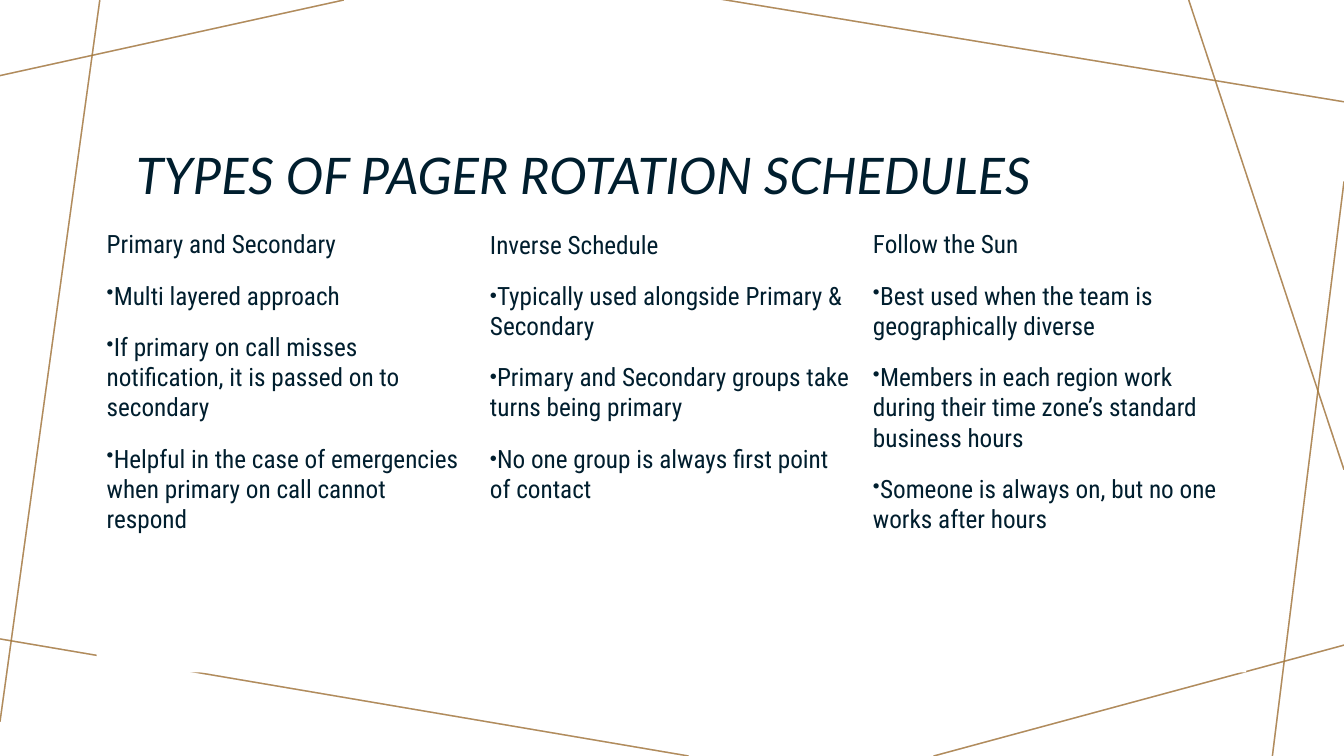
from lxml.etree import SubElement
from pptx import Presentation
from pptx.dml.color import RGBColor
from pptx.enum.shapes import MSO_CONNECTOR
from pptx.enum.text import MSO_ANCHOR, MSO_AUTO_SIZE, PP_ALIGN
from pptx.oxml.ns import qn
from pptx.util import Inches, Pt

INK = "001E2E"
LINE_COLOURS = ["BA9CA0", "A57931"]
LINE_OPACITY = 70
LINES = [
    (3.41, 0, 0, 0.75),
    (0.99, 0, 0, 7.16),
    (6.83, 7.5, -0.05, 6.33),
    (13.33, 6.4, 9.26, 7.5),
    (13.33, 1.8, 12.62, 7.5),
    (13.33, 4.66, 11.79, 0),
    (13.33, 1.01, 7.14, -0.01),
]
TITLE = "TYPES OF PAGER ROTATION SCHEDULES"
LEFT, TOP, WIDTH, HEIGHT = 0.96, 2.22, 3.8, 4.45
SCHEDULES = [
    ("Primary and Secondary", [
        "Multi layered approach",
        "If primary on call misses notification, it is passed on to secondary",
        "Helpful in the case of emergencies when primary on call cannot respond",
    ]),
    ("Inverse Schedule", [
        "Typically used alongside Primary & Secondary",
        "Primary and Secondary groups take turns being primary",
        "No one group is always first point of contact",
    ]),
    ("Follow the Sun", [
        "Best used when the team is geographically diverse",
        "Members in each region work during their time zone’s standard business hours",
        "Someone is always on, but no one works after hours",
    ]),
]
TITLE_FONT = {"name": "Lato", "size": Pt(36), "italic": True}
BODY_FONT = {"name": "Roboto Condensed", "size": Pt(18)}
TITLE_PARAGRAPH = {"alignment": PP_ALIGN.LEFT, "line_spacing": 0.9}
BODY_PARAGRAPH = {"alignment": PP_ALIGN.LEFT, "line_spacing": 1.0,
                  "space_before": Pt(10), "space_after": Pt(5)}


def colour(value):
    return RGBColor.from_string(value)


def apply_format(target, values):
    for name, value in values.items():
        setattr(target, name, value)


def place(shape, left, top, width, height):
    apply_format(shape, {"left": Inches(left), "top": Inches(top),
                         "width": Inches(width), "height": Inches(height)})


def prepare_frame(shape, anchor):
    apply_format(shape.text_frame, {"word_wrap": True, "vertical_anchor": anchor,
                                    "auto_size": MSO_AUTO_SIZE.NONE})


def write(paragraph, text, paragraph_format, font_format):
    apply_format(paragraph, paragraph_format)
    run = paragraph.add_run()
    run.text = text
    apply_format(run.font, font_format)
    run.font.color.rgb = colour(INK)


def set_bullet(paragraph, bulleted):
    """Give the paragraph a hanging dot, or take away the inherited one."""
    properties = paragraph._p.get_or_add_pPr()
    properties.set("marL", "0")
    properties.set("indent", str(Inches(-0.25) if bulleted else 0))
    if bulleted:
        SubElement(properties, qn("a:buSzPct")).set("val", "80000")
        SubElement(properties, qn("a:buChar")).set("char", "•")
    else:
        SubElement(properties, qn("a:buNone"))


def add_line(slide, ends, line_colour):
    connector = slide.shapes.add_connector(
        MSO_CONNECTOR.STRAIGHT, *[Inches(value) for value in ends])
    connector.line.width = Pt(1)
    connector.line.color.rgb = colour(line_colour)
    properties = connector._element.spPr
    solid = next(properties.iter(qn("a:srgbClr")))
    SubElement(solid, qn("a:alpha")).set("val", str(LINE_OPACITY * 1000))
    SubElement(properties, qn("a:effectLst"))


def fill_title(title):
    place(title, 1.25, 0.58, 10.83, 1.51)
    prepare_frame(title, MSO_ANCHOR.BOTTOM)
    write(title.text_frame.paragraphs[0], TITLE, TITLE_PARAGRAPH, TITLE_FONT)


def fill_schedule(shape, column, heading, points):
    place(shape, LEFT + column * WIDTH, TOP, WIDTH, HEIGHT)
    shape.fill.solid()
    shape.fill.fore_color.rgb = colour("FFFFFF")
    prepare_frame(shape, MSO_ANCHOR.TOP)
    frame = shape.text_frame
    for index, text in enumerate([heading, *points]):
        paragraph = frame.add_paragraph() if index else frame.paragraphs[0]
        write(paragraph, text, BODY_PARAGRAPH, BODY_FONT)
        set_bullet(paragraph, bulleted=index > 0)


def main():
    presentation = Presentation()
    presentation.slide_width = Inches(13.33)
    presentation.slide_height = Inches(7.5)
    slide = presentation.slides.add_slide(presentation.slide_layouts[1])
    title, body = slide.shapes.title, slide.placeholders[1]

    for line_colour in LINE_COLOURS:
        for ends in LINES:
            add_line(slide, ends, line_colour)

    # The text stands in front of the lines.
    for placeholder in (title, body):
        slide.shapes._spTree.append(placeholder._element)

    fill_title(title)
    for column, (heading, points) in enumerate(SCHEDULES):
        if column == 1:
            shape = body
        else:
            shape = slide.shapes.add_textbox(0, 0, Inches(WIDTH), Inches(HEIGHT))
        fill_schedule(shape, column, heading, points)

    presentation.save("out.pptx")


if __name__ == "__main__":
    main()
